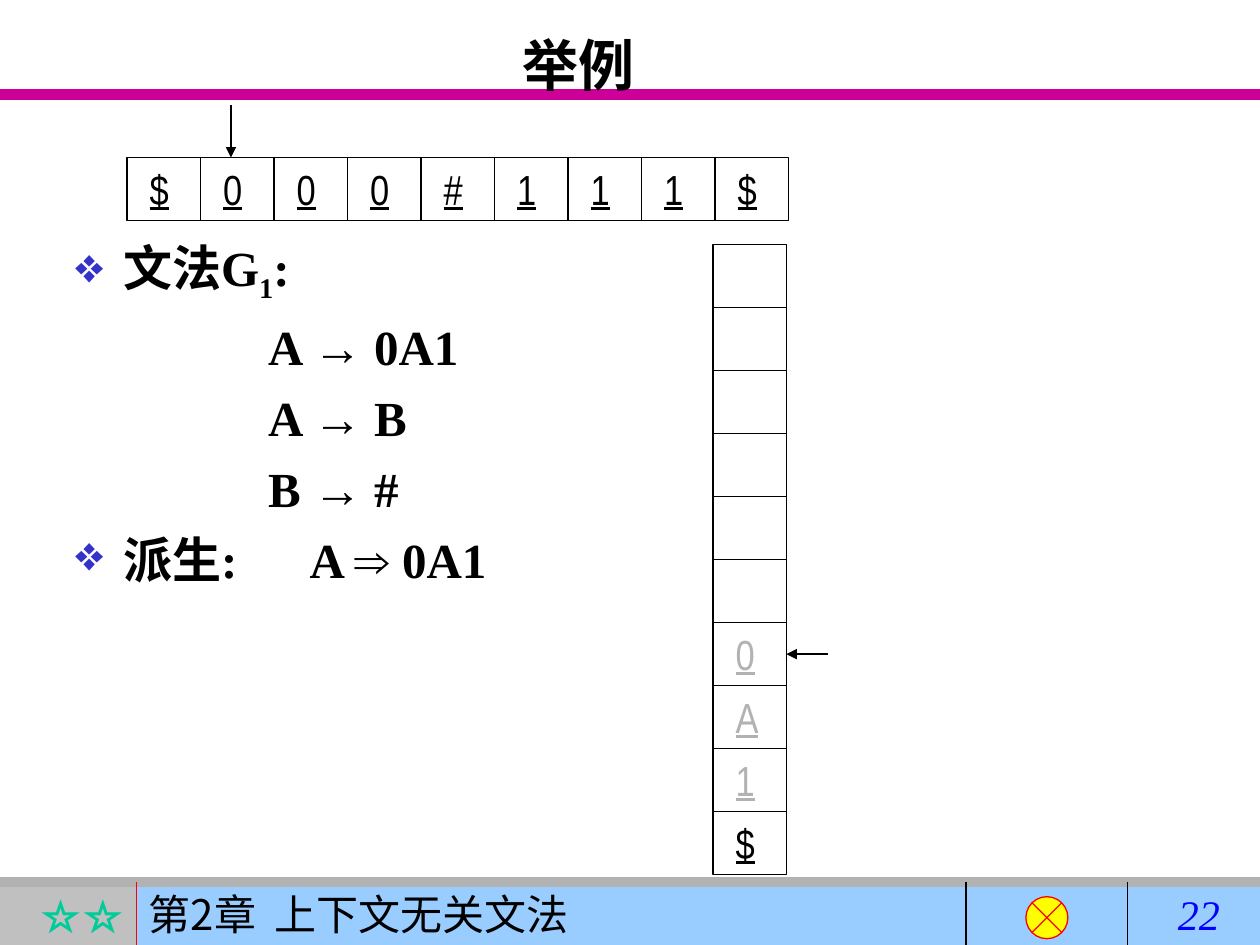
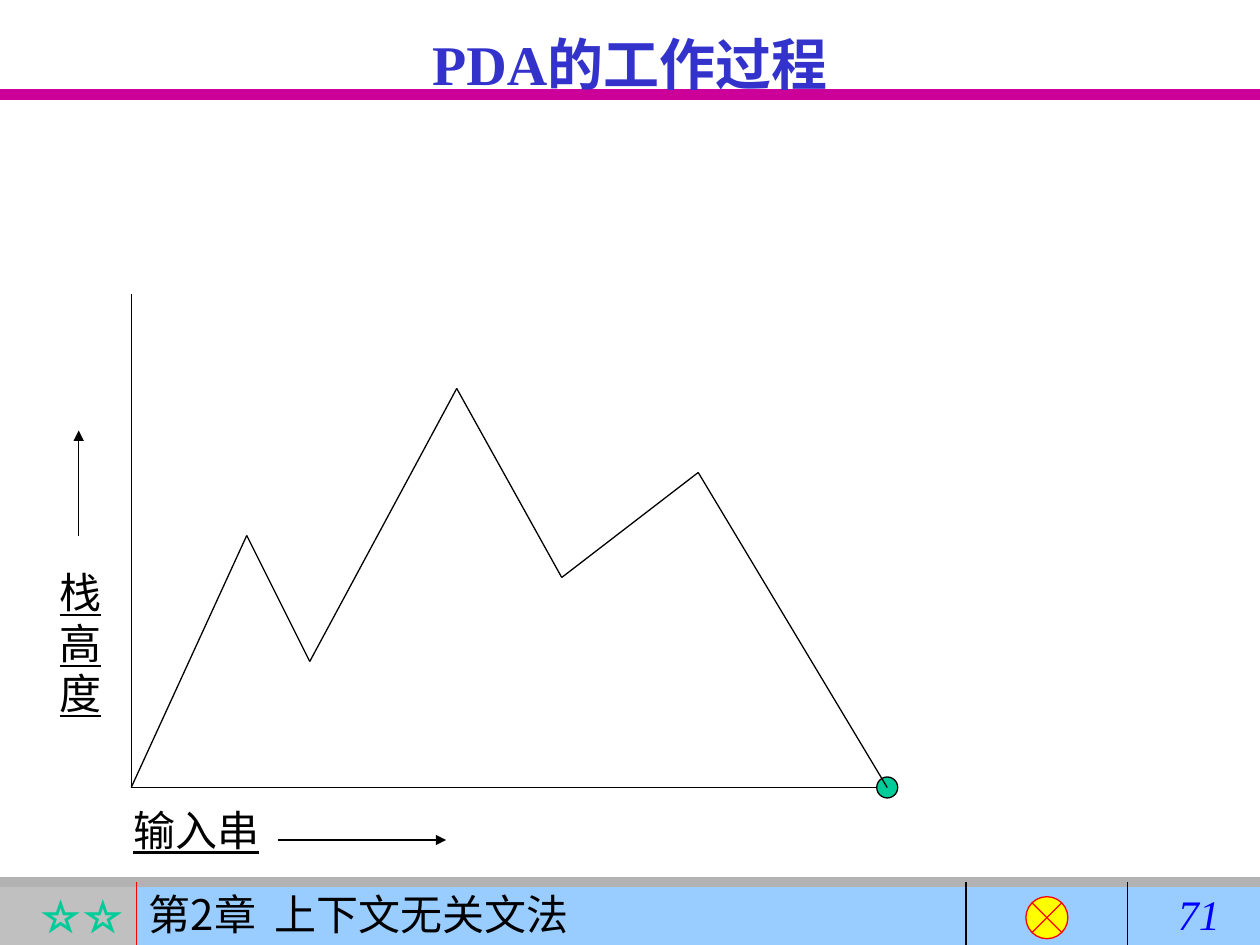
from dataclasses import dataclass

from lxml import etree
from pptx import Presentation
from pptx.dml.color import RGBColor
from pptx.enum.shapes import MSO_CONNECTOR, MSO_SHAPE
from pptx.enum.text import MSO_ANCHOR, PP_ALIGN
from pptx.oxml.ns import qn
from pptx.util import Inches, Pt

RECT, OVAL = MSO_SHAPE.RECTANGLE, MSO_SHAPE.OVAL
JUNCTION = MSO_SHAPE.FLOWCHART_SUMMING_JUNCTION
STRAIGHT = MSO_CONNECTOR.STRAIGHT
TOP = MSO_ANCHOR.TOP
LEFT, CENTER, RIGHT = PP_ALIGN.LEFT, PP_ALIGN.CENTER, PP_ALIGN.RIGHT

COLUMNS, ROWS = 120, 90  # the grid: 12 units to the inch
CELL_W, CELL_H = 7, 6


@dataclass(frozen=True)
class Theme:
    ink: str = "000000"
    magenta: str = "CC0099"
    blue: str = "3333CC"
    page_blue: str = "0000FF"
    sky: str = "99CCFF"
    silver: str = "C0C0C0"
    gray: str = "B2B2B2"
    green: str = "00CC99"
    yellow: str = "FFFF00"
    red: str = "FF0000"
    serif: str = "Times New Roman"
    sans: str = "Arial"
    narrow: str = "Arial Narrow"
    cjk: str = "Noto Sans CJK SC"
    title_size: int = 32
    body_size: int = 28
    label_size: int = 24
    hairline: float = 0.75
    band: float = 6


THEME = Theme()
TITLE = dict(name=THEME.serif, size=Pt(THEME.title_size), bold=True)
BODY = dict(name=THEME.serif, size=Pt(THEME.body_size), bold=True)
LABEL = dict(name=THEME.narrow, size=Pt(THEME.label_size), underline=True)
STARS = dict(name=THEME.serif, size=Pt(THEME.label_size), bold=True)
CHAPTER = dict(name=THEME.cjk, size=Pt(THEME.label_size))
PAGE = dict(name=THEME.serif, size=Pt(THEME.label_size), italic=True)


class Deck:
    """Holds the theme and the current slide, and draws on the grid."""

    def __init__(self, theme):
        self.theme = theme
        self.prs = Presentation()
        self.prs.slide_width, self.prs.slide_height = Inches(10), Inches(7.5)
        self.slide = None

    def place(self, left, top, *size):
        units = (self.prs.slide_width / COLUMNS, self.prs.slide_height / ROWS)
        return [round(v * units[i % 2]) for i, v in enumerate((left, top, *size))]

    def line(self, start, end, color=None, width=None, arrow=False):
        connector = self.slide.shapes.add_connector(
            STRAIGHT, *self.place(*start), *self.place(*end))
        connector.line.color.rgb = RGBColor.from_string(color or self.theme.ink)
        connector.line.width = Pt(width or self.theme.hairline)
        if arrow:
            stroke = connector._element.spPr.find(qn("a:ln"))
            etree.SubElement(stroke, qn("a:tailEnd"), type="triangle")
        etree.SubElement(connector._element.spPr, qn("a:effectLst"))

    def shape(self, kind, box, fill=None, outline=None):
        shape = self.slide.shapes.add_shape(kind, *self.place(*box))
        shape.shadow.inherit = False
        if fill:
            shape.fill.solid()
            shape.fill.fore_color.rgb = RGBColor.from_string(fill)
        else:
            shape.fill.background()
        if outline:
            shape.line.color.rgb = RGBColor.from_string(outline)
            shape.line.width = Pt(self.theme.hairline)
        else:
            shape.line.fill.background()
        return shape

    def run(self, paragraph, text, style, color=None, baseline=None):
        run = paragraph.add_run()
        run.text = text
        for key, value in style.items():
            setattr(run.font, key, value)
        run.font.color.rgb = RGBColor.from_string(color or self.theme.ink)
        properties = run._r.get_or_add_rPr()
        etree.SubElement(properties, qn("a:ea"), typeface=self.theme.cjk)
        if baseline:
            properties.set("baseline", str(baseline * 1000))

    def label(self, shape, text, style, color=None, align=LEFT, tab=None):
        frame = shape.text_frame
        frame.word_wrap, frame.vertical_anchor = True, TOP
        paragraph = frame.paragraphs[0]
        paragraph.alignment = align
        if tab:
            self.paragraph_format(paragraph, tab=tab)
            parts = text.split("\t")
            text = "\t".join(parts)
        self.run(paragraph, text, style, color)
        return frame

    def text_box(self, box, text, style, color=None, align=LEFT):
        shape = self.slide.shapes.add_textbox(*self.place(*box))
        return self.label(shape, text, style, color, align)

    def paragraph_format(self, paragraph, indent=0, hanging=0, bullet=None, tab=None):
        properties = paragraph._p.get_or_add_pPr()
        properties.set("marL", str(Inches(indent)))
        properties.set("indent", str(-Inches(hanging)))
        if bullet:
            tint = etree.SubElement(properties, qn("a:buClr"))
            etree.SubElement(tint, qn("a:srgbClr"), val=self.theme.blue)
            etree.SubElement(properties, qn("a:buChar"), char=bullet)
        if tab:
            stops = etree.SubElement(properties, qn("a:tabLst"))
            etree.SubElement(stops, qn("a:tab"), pos=str(Inches(tab)), algn="l")

    def cell(self, left, top, symbol="", color=None):
        """One square of the tape or the stack."""
        square = self.shape(RECT, (left, top, CELL_W, CELL_H), outline=self.theme.ink)
        if symbol:
            self.label(square, symbol, LABEL, color).margin_left = Inches(0.18)

    def grammar(self, box, lines):
        """Each line is its paragraph format and a list of (text, font, baseline)."""
        shape = self.slide.shapes.add_textbox(*self.place(*box))
        frame = shape.text_frame
        frame.word_wrap = True
        for index, (layout, parts) in enumerate(lines):
            paragraph = frame.add_paragraph() if index else frame.paragraphs[0]
            self.paragraph_format(paragraph, **layout)
            if index:
                paragraph.space_before = Pt(7)
            for text, font, baseline in parts:
                self.run(paragraph, text, {**BODY, "name": font}, baseline=baseline)

    def new_slide(self, title, title_box, title_color, page):
        t = self.theme
        self.slide = self.prs.slides.add_slide(self.prs.slide_layouts[6])
        # Title rule and footer bands
        self.line((0, 9), (COLUMNS, 9), t.magenta, t.band)
        stars = self.shape(RECT, (0, 84, 13, 6), t.silver)
        self.label(stars, "☆☆", STARS, t.green, RIGHT)
        chapter = self.shape(RECT, (13, 84, COLUMNS - 13, 6), t.sky)
        self.label(chapter, "第2章\t上下文无关文法", CHAPTER, tab=1.17)
        self.line((0, 84), (COLUMNS, 84), t.gray, t.band)
        # Footer dividers, marker and page number
        for column, color in ((13, t.red), (92, t.ink), (107.4, t.ink)):
            self.line((column, 84), (column, ROWS), color)
        self.shape(JUNCTION, (97.7, 85.4, 4, 4), t.yellow, t.red)
        self.text_box((111, 84, 9, 6), page, PAGE, t.page_blue)
        self.text_box(title_box, title, TITLE, title_color, CENTER)


def example_slide(deck):
    t = deck.theme
    deck.new_slide("举例", (4.1, 2.3, 102, 15), t.ink, "22")

    # Grammar and derivation
    heading = dict(indent=0.38, hanging=0.38, bullet="❖")
    rule = dict(indent=1.53)
    lines = [(heading, [("文法G", t.serif, None), ("1", t.serif, -25),
                        (":", t.serif, None)])]
    for left_side, right_side in (("A", "0A1"), ("A", "B"), ("B", "#")):
        lines.append((rule, [(f"{left_side} ", t.serif, None), ("→", t.sans, None),
                             (f" {right_side}", t.serif, None)]))
    lines.append(({**heading, "tab": 1.86},
                  [("派生:\tA ", t.serif, None), ("⇒", t.sans, None),
                   (" 0A1", t.serif, None)]))
    deck.grammar((6, 22, 62.5, 61), lines)

    # Input tape with its reading head
    for index, symbol in enumerate("$000#111$"):
        deck.cell(12.1 + index * CELL_W, 15, symbol)
    deck.line((22, 10), (22, 15), arrow=True)

    # Stack with its top pointer
    stack_left, stack_top = 67.9, 23.3
    for index, symbol in enumerate([""] * 6 + list("0A1$")):
        color = t.ink if symbol == "$" else t.gray
        deck.cell(stack_left, stack_top + index * CELL_H, symbol, color)
    pointer_row = stack_top + 6.5 * CELL_H
    stack_right = stack_left + CELL_W
    deck.line((stack_right + 4, pointer_row), (stack_right, pointer_row), arrow=True)


def process_slide(deck):
    t = deck.theme
    deck.new_slide("PDA的工作过程", (6, 2.2, 108, 15), t.blue, "71")

    # Axes and their labels
    origin = (12.5, 75)
    deck.line(origin, (85.5, 75))
    deck.line(origin, (12.5, 28))
    deck.text_box((11.5, 76, 17, 6), "输入串", LABEL)
    deck.text_box((4.5, 53.4, 6, 15.6), "栈高度", LABEL)
    deck.line((26.5, 80), (42.5, 80), arrow=True)
    deck.line((7.5, 51), (7.5, 41), arrow=True)

    # Stack height over the input, ending at the marker
    deck.shape(OVAL, (83.5, 74, 2, 2), t.green, t.ink)
    heights = [origin, (23.5, 51), (29.5, 63), (43.5, 37),
               (53.5, 55), (66.5, 45), (84.5, 75)]
    for start, end in zip(heights, heights[1:]):
        deck.line(start, end)


def main():
    deck = Deck(THEME)
    example_slide(deck)
    process_slide(deck)
    deck.prs.save("out.pptx")


if __name__ == "__main__":
    main()
